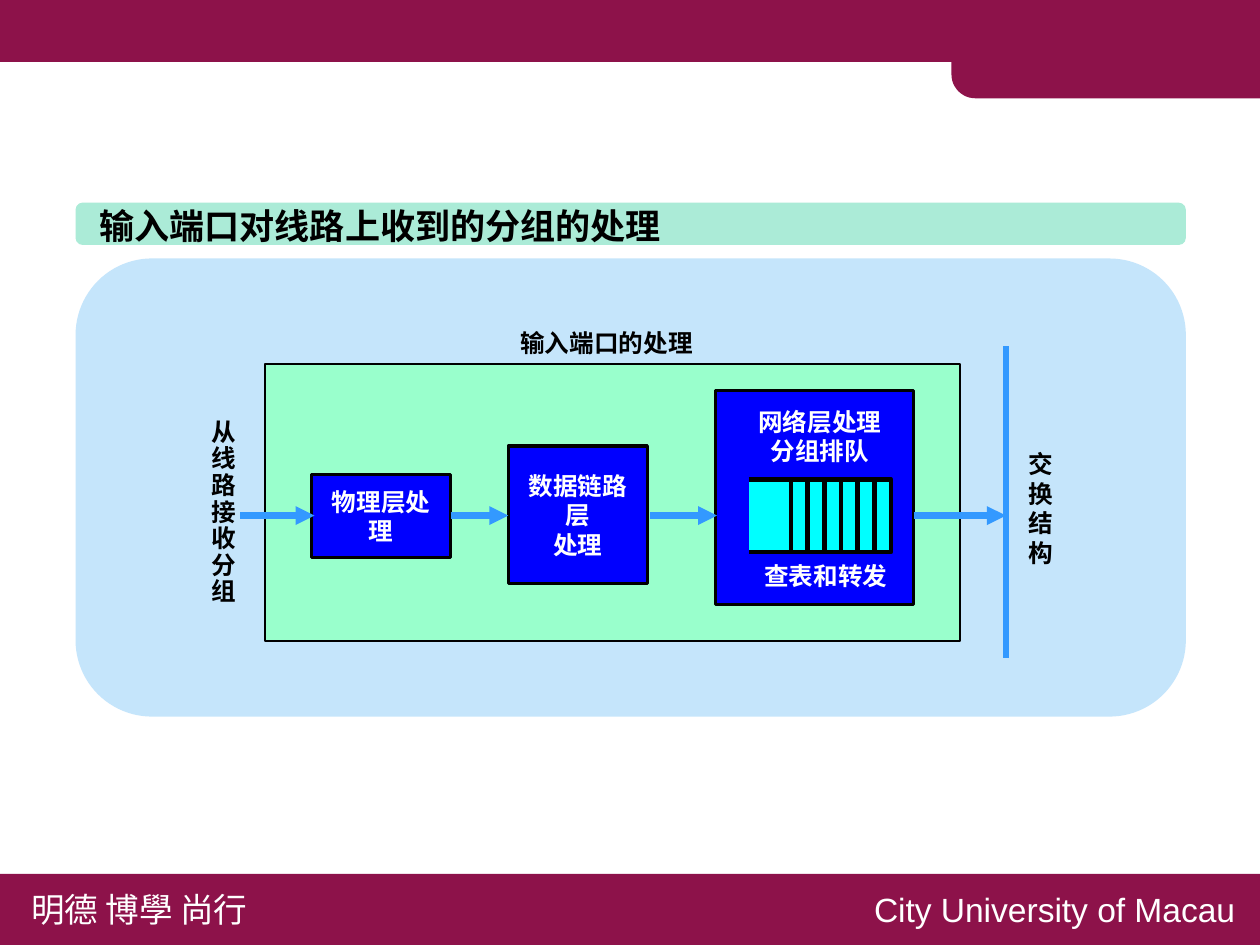
from dataclasses import dataclass

from lxml import etree
from pptx import Presentation
from pptx import util as u
from pptx.dml.color import RGBColor
from pptx.enum import shapes, text
from pptx.oxml.ns import qn


@dataclass(frozen=True)
class Theme:
    maroon: str = "8D124A"
    panel: str = "C5E5FB"
    title_bar: str = "ABEBD7"
    port: str = "99FFCC"
    stage: str = "0000FF"
    queue: str = "00FFFF"
    arrow: str = "3399FF"
    black: str = "000000"
    white: str = "FFFFFF"
    cjk: str = "Noto Sans CJK SC"
    latin: str = "Arial"
    title_size: float = 16.7
    label_size: float = 11.7
    footer_size: float = 16


THEME = Theme()
KIND = shapes.MSO_SHAPE
CENTER = text.PP_ALIGN.CENTER
LEFT = text.PP_ALIGN.LEFT


@dataclass(frozen=True)
class Box:
    left: float
    top: float
    width: float
    height: float
    fill: str
    border: float = 0
    kind: KIND = KIND.RECTANGLE
    lines: tuple[str, ...] = ()


@dataclass(frozen=True)
class Label:
    left: float
    top: float
    width: float
    height: float
    lines: tuple[str, ...]
    color: str = THEME.black
    size: float = THEME.label_size
    font: str = THEME.cjk
    bold: bool = True
    align: text.PP_ALIGN = LEFT
    spacing: float = 1.0


@dataclass(frozen=True)
class Line:
    x1: float
    y1: float
    x2: float
    y2: float
    color: str
    width: float
    arrow: bool = False


def rgb(color: str) -> RGBColor:
    return RGBColor.from_string(color)


def write(tf, label: Label, anchor=text.MSO_ANCHOR.TOP) -> None:
    """Fill a text frame with one paragraph per line of the label."""
    tf.word_wrap = True
    tf.auto_size = text.MSO_AUTO_SIZE.NONE
    tf.vertical_anchor = anchor
    for i, line in enumerate(label.lines):
        p = tf.paragraphs[0] if i == 0 else tf.add_paragraph()
        p.alignment = label.align
        p.line_spacing = label.spacing
        r = p.add_run()
        r.text = line
        r.font.size = u.Pt(label.size)
        r.font.bold = label.bold
        r.font.name = label.font
        r.font.color.rgb = rgb(label.color)
        latin = r.font._element.find(qn("a:latin"))
        ea = etree.Element(qn("a:ea"), typeface=label.font)
        latin.addnext(ea)


def style(sp, fill: str, border: float) -> None:
    sp.shadow.inherit = False
    sp.fill.solid()
    sp.fill.fore_color.rgb = rgb(fill)
    if border:
        sp.line.color.rgb = rgb(THEME.black)
        sp.line.width = u.Pt(border)
    else:
        sp.line.fill.background()


def place(item: Box | Label) -> tuple[u.Length, ...]:
    return tuple(u.Inches(v) for v in (item.left, item.top, item.width, item.height))


def add_box(s, box: Box):
    sp = s.shapes.add_shape(box.kind, *place(box))
    style(sp, box.fill, box.border)
    if box.lines:
        label = Label(box.left, box.top, box.width, box.height, box.lines,
                      color=THEME.white, align=CENTER)
        write(sp.text_frame, label, text.MSO_ANCHOR.MIDDLE)
    return sp


def add_label(s, label: Label) -> None:
    write(s.shapes.add_textbox(*place(label)).text_frame, label)


def add_line(s, line: Line) -> None:
    ends = (u.Inches(v) for v in (line.x1, line.y1, line.x2, line.y2))
    cxn = s.shapes.add_connector(shapes.MSO_CONNECTOR.STRAIGHT, *ends)
    cxn.line.color.rgb = rgb(line.color)
    cxn.line.width = u.Pt(line.width)
    if line.arrow:
        etree.SubElement(cxn.line._get_or_add_ln(), qn("a:tailEnd"), type="triangle")
    etree.SubElement(cxn.element.spPr, qn("a:effectLst"))


def add_frame(s) -> None:
    """Draw the maroon header with its tab, and the footer."""
    add_box(s, Box(-0.01, -0.01, 8.35, 0.42, THEME.maroon))
    tab = add_box(s, Box(6.29, 0.02, 2.05, 0.63, THEME.maroon, kind=KIND.ROUND_1_RECTANGLE))
    tab.adjustments[0] = 0.25
    tab.rotation = 180
    add_box(s, Box(-0.02, 5.78, 8.36, 0.49, THEME.maroon))
    footer = dict(color=THEME.white, size=THEME.footer_size, bold=False)
    add_label(s, Label(0.11, 5.83, 1.8, 0.37, ("明德 博學 尚行",), **footer))
    add_label(s, Label(5.68, 5.83, 2.62, 0.37, ("City University of Macau",),
                       font=THEME.latin, **footer))


def add_title(s) -> None:
    add_box(s, Box(0.5, 1.34, 7.34, 0.28, THEME.title_bar, kind=KIND.ROUNDED_RECTANGLE))
    label = Label(0.56, 1.3, 4.2, 0.38, ("输入端口对线路上收到的分组的处理",),
                  size=THEME.title_size)
    title = s.shapes.title
    title.left, title.top, title.width, title.height = place(label)
    write(title.text_frame, label)
    title.element.getparent().append(title.element)  # bring in front of its bar


def add_queue(s) -> None:
    """Draw the packet queue, open on the left, with its slots."""
    left, top, right, bottom = 4.95, 3.17, 5.89, 3.65
    builder = s.shapes.build_freeform(u.Inches(left), u.Inches(top))
    corners = ((right, top), (right, bottom), (left, bottom))
    builder.add_line_segments([(u.Inches(x), u.Inches(y)) for x, y in corners], close=False)
    style(builder.convert_to_shape(), THEME.queue, 2.25)
    for slot in range(1, 7):
        x = right - 0.11 * slot
        add_line(s, Line(x, top, x, bottom, THEME.black, 2.25))


def add_diagram(s) -> None:
    add_box(s, Box(0.5, 1.71, 7.34, 3.03, THEME.panel, kind=KIND.ROUNDED_RECTANGLE))
    add_box(s, Box(1.75, 2.41, 4.6, 1.83, THEME.port, 1))
    for stage in (
        Box(2.06, 3.14, 0.92, 0.55, THEME.stage, 1.5, lines=("物理层处理",)),
        Box(3.36, 2.95, 0.92, 0.91, THEME.stage, 1.5, lines=("数据链路层", "处理")),
        Box(4.73, 2.58, 1.31, 1.42, THEME.stage, 1.5),
    ):
        add_box(s, stage)
    for start, end in ((1.59, 2.08), (2.98, 3.36), (4.3, 4.74), (6.04, 6.65)):
        add_line(s, Line(start, 3.41, end, 3.41, THEME.arrow, 3, arrow=True))
    add_line(s, Line(6.65, 2.29, 6.65, 4.35, THEME.arrow, 3))
    add_queue(s)
    for label in (
        Label(4.82, 2.64, 1.2, 0.49, ("网络层处理", "分组排队"), THEME.white, align=CENTER),
        Label(4.86, 3.66, 1.2, 0.3, ("查表和转发",), THEME.white, align=CENTER),
        Label(3.26, 2.12, 1.5, 0.3, ("输入端口的处理",), align=CENTER),
        Label(6.7, 2.92, 0.37, 0.89, tuple("交换结构")),
        Label(1.3, 2.73, 0.37, 1.34, tuple("从线路接收分组"), spacing=0.9),
    ):
        add_label(s, label)


def main() -> None:
    prs = Presentation()
    prs.slide_width, prs.slide_height = u.Inches(8.33), u.Inches(6.25)
    s = prs.slides.add_slide(prs.slide_layouts.get_by_name("Title Only"))
    add_frame(s)
    add_title(s)
    add_diagram(s)
    prs.save("out.pptx")


if __name__ == "__main__":
    main()
